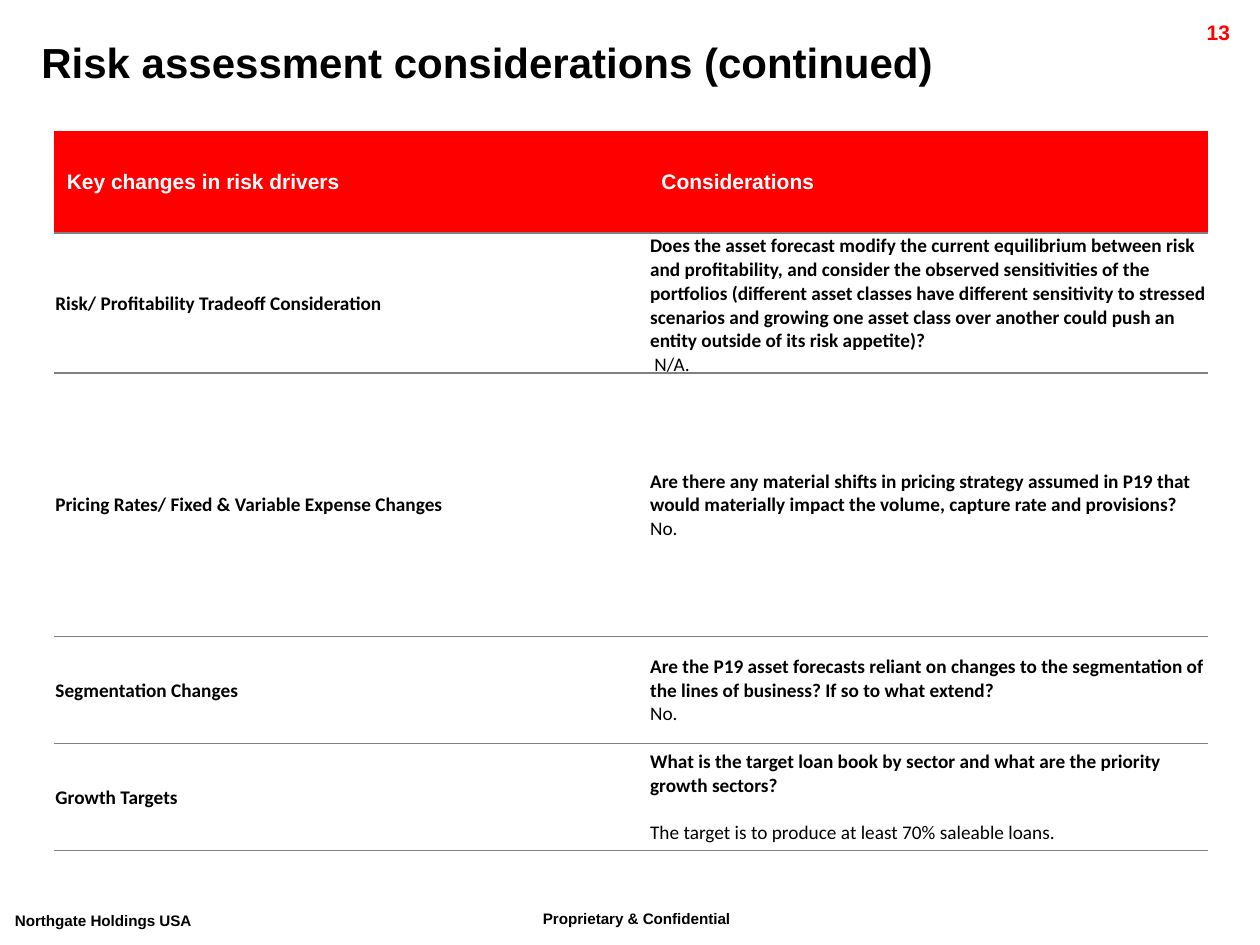
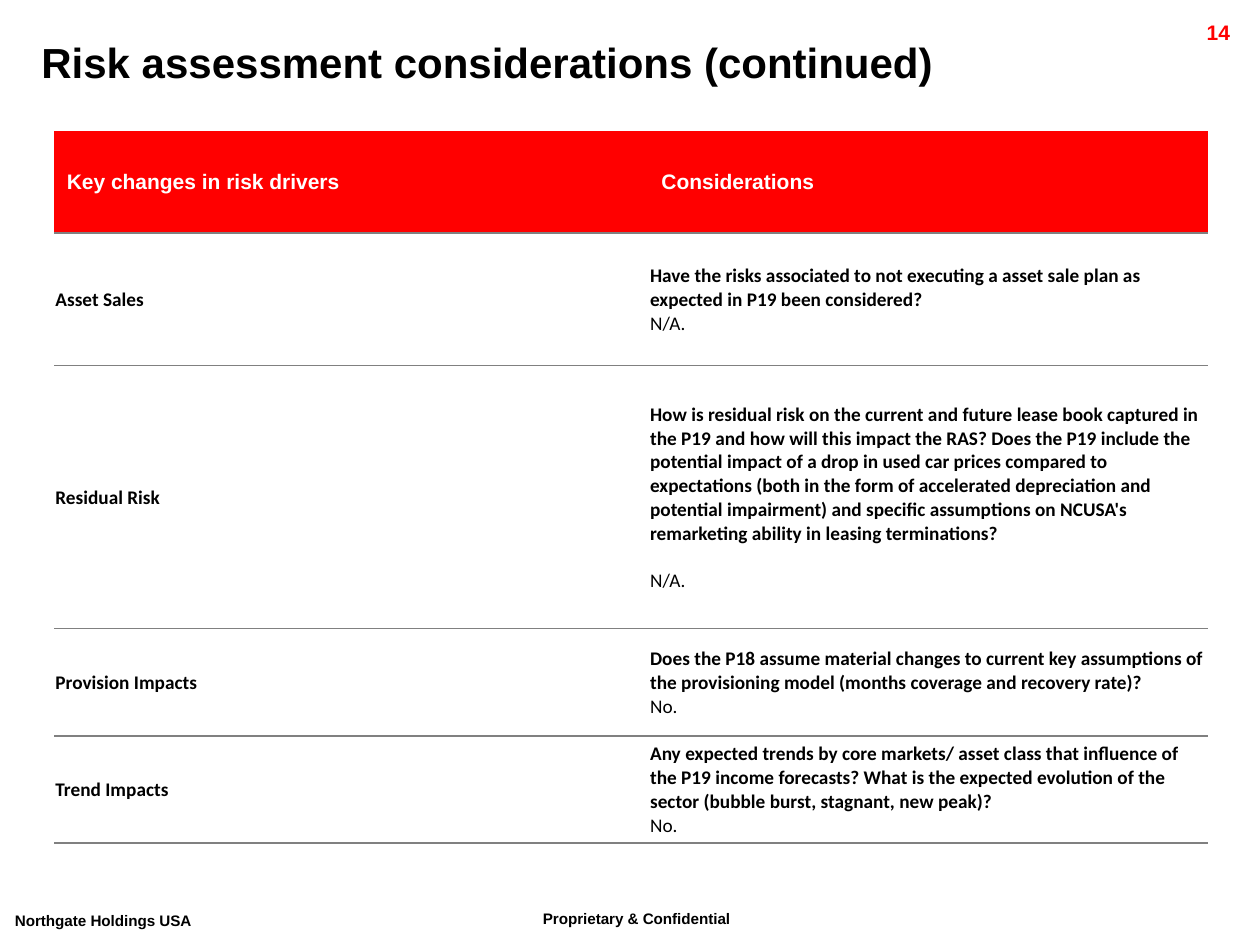
from dataclasses import dataclass

from lxml import etree
from pptx import Presentation
from pptx.dml.color import RGBColor
from pptx.enum.text import MSO_ANCHOR as ANCHOR, PP_ALIGN as ALIGN
from pptx.oxml.ns import qn
from pptx.util import Inches, Pt

RED, GREY, BLACK, WHITE = "FF0000", "808080", "000000", "FFFFFF"
HEAD_FONT, BODY_FONT = "Arial", "Calibri"
NO_GRID_STYLE = "{2D5ABB26-0587-4C30-8999-92F81FD0307C}"

TITLE = "Risk assessment considerations (continued)"
HEADINGS = ("Key changes in risk drivers", "Considerations")
TABLE_BOX = (0.43, 1.04, 9.16, 5.65)
COLUMN_WIDTHS = (4.72, 4.44)
ROW_HEIGHTS = (0.81, 1.05, 2.09, 0.85, 0.85)
BODY_INSETS = (0.01, 0.01, 0.01, 0)
ANSWER_GAP = 13.4


@dataclass
class Driver:
    name: str
    question: str
    answer: str
    gap: float = 0
    inline: bool = False


SLIDES = {
    13: [
        Driver("Risk/ Profitability Tradeoff Consideration",
               "Does the asset forecast modify the current equilibrium between risk and "
               "profitability, and consider the observed sensitivities of the portfolios "
               "(different asset classes have different sensitivity to stressed scenarios "
               "and growing one asset class over another could push an entity outside of "
               "its risk appetite)?", " N/A."),
        Driver("Pricing Rates/ Fixed & Variable Expense Changes",
               "Are there any material shifts in pricing strategy assumed in P19 that would "
               "materially impact the volume, capture rate and provisions? ", "No.",
               inline=True),
        Driver("Segmentation Changes",
               "Are the P19 asset forecasts reliant on changes to the segmentation of the "
               "lines of business? If so to what extend?", "No."),
        Driver("Growth Targets",
               "What is the target loan book by sector and what are the priority growth "
               "sectors?", "The target is to produce at least 70% saleable loans.",
               gap=ANSWER_GAP),
    ],
    14: [
        Driver("Asset Sales",
               "Have the risks associated to not executing a asset sale plan as expected in "
               "P19 been considered?", "N/A."),
        Driver("Residual Risk",
               "How is residual risk on the current and future lease book captured in the "
               "P19 and how will this impact the RAS? Does the P19 include the potential "
               "impact of a drop in used car prices compared to expectations (both in the "
               "form of accelerated depreciation and potential impairment) and specific "
               "assumptions on NCUSA's remarketing ability in leasing terminations?",
               "N/A.", gap=ANSWER_GAP),
        Driver("Provision Impacts",
               "Does the P18 assume material changes to current key assumptions of the "
               "provisioning model (months coverage and recovery rate)?", "No."),
        Driver("Trend Impacts",
               "Any expected trends by core markets/ asset class that influence of the P19 "
               "income forecasts? What is the expected evolution of the sector (bubble "
               "burst, stagnant, new peak)?", "No."),
    ],
}


def rgb(value):
    return RGBColor.from_string(value)


def write(p, text, size=11, font=BODY_FONT, color=BLACK, bold=True, raised=False):
    """Add a formatted run to a paragraph."""
    r = p.add_run()
    r.text = text
    r.font.size = Pt(size)
    r.font.name = font
    r.font.bold = bold
    r.font.color.rgb = rgb(color)
    if raised:
        r._r.get_or_add_rPr().set("baseline", "30000")


def add_label(s, text, box, wrap=True, align=ALIGN.LEFT, **fmt):
    sp = s.shapes.add_textbox(*map(Inches, box))
    tf = sp.text_frame
    tf.word_wrap = wrap
    p = tf.paragraphs[0]
    p.alignment = align
    write(p, text, font=HEAD_FONT, **fmt)


def add_frame(s, number):
    """Add the footers, page number and title that every slide carries."""
    add_label(s, "Proprietary & Confidential", (4.21, 7.14, 2.18, 0.35), size=15, raised=True)
    add_label(s, "Northgate Holdings USA", (0.02, 7.16, 1.91, 0.35), wrap=False,
              size=15, raised=True)
    add_label(s, str(number), (8.91, 0.11, 0.95, 0.24), align=ALIGN.RIGHT, size=12, color=RED)
    add_label(s, TITLE, (0.23, 0.24, 9.82, 0.5), size=24)


def style_cell(cell, fill, edges, insets=None):
    tcPr = cell._tc.get_or_add_tcPr()
    for edge in edges:
        ln = etree.SubElement(tcPr, qn(f"a:ln{edge}"), w=str(Pt(1)))
        solid = etree.SubElement(ln, qn("a:solidFill"))
        etree.SubElement(solid, qn("a:srgbClr"), val=GREY)
    cell.fill.solid()
    cell.fill.fore_color.rgb = rgb(fill)
    cell.vertical_anchor = ANCHOR.MIDDLE
    if insets:
        (cell.margin_left, cell.margin_top,
         cell.margin_right, cell.margin_bottom) = map(Inches, insets)


def fill_consideration(tf, driver):
    p = tf.paragraphs[0]
    write(p, driver.question)
    if not driver.inline:
        p = tf.add_paragraph()
        if driver.gap:
            p.space_before = Pt(driver.gap)
    write(p, driver.answer, bold=False)


def add_driver_table(s, drivers, box):
    table = s.shapes.add_table(len(drivers) + 1, len(HEADINGS), *map(Inches, box)).table
    table.horz_banding = False
    table._tbl.tblPr.find(qn("a:tableStyleId")).text = NO_GRID_STYLE
    for column, width in zip(table.columns, COLUMN_WIDTHS):
        column.width = Inches(width)
    for row, height in zip(table.rows, ROW_HEIGHTS):
        row.height = Inches(height)

    for cell, heading in zip(table.rows[0].cells, HEADINGS):
        style_cell(cell, RED, "B")
        write(cell.text_frame.paragraphs[0], heading, size=12, font=HEAD_FONT, color=WHITE)
    for i, driver in enumerate(drivers, 1):
        name_cell, consideration_cell = table.rows[i].cells
        for cell in (name_cell, consideration_cell):
            style_cell(cell, WHITE, "TB", BODY_INSETS)
        write(name_cell.text_frame.paragraphs[0], driver.name)
        fill_consideration(consideration_cell.text_frame, driver)


def main():
    prs = Presentation()
    prs.slide_width, prs.slide_height = Inches(10), Inches(7.5)
    for number, drivers in SLIDES.items():
        s = prs.slides.add_slide(prs.slide_layouts[6])
        add_frame(s, number)
        add_driver_table(s, drivers, TABLE_BOX)
    prs.save("out.pptx")


if __name__ == "__main__":
    main()
